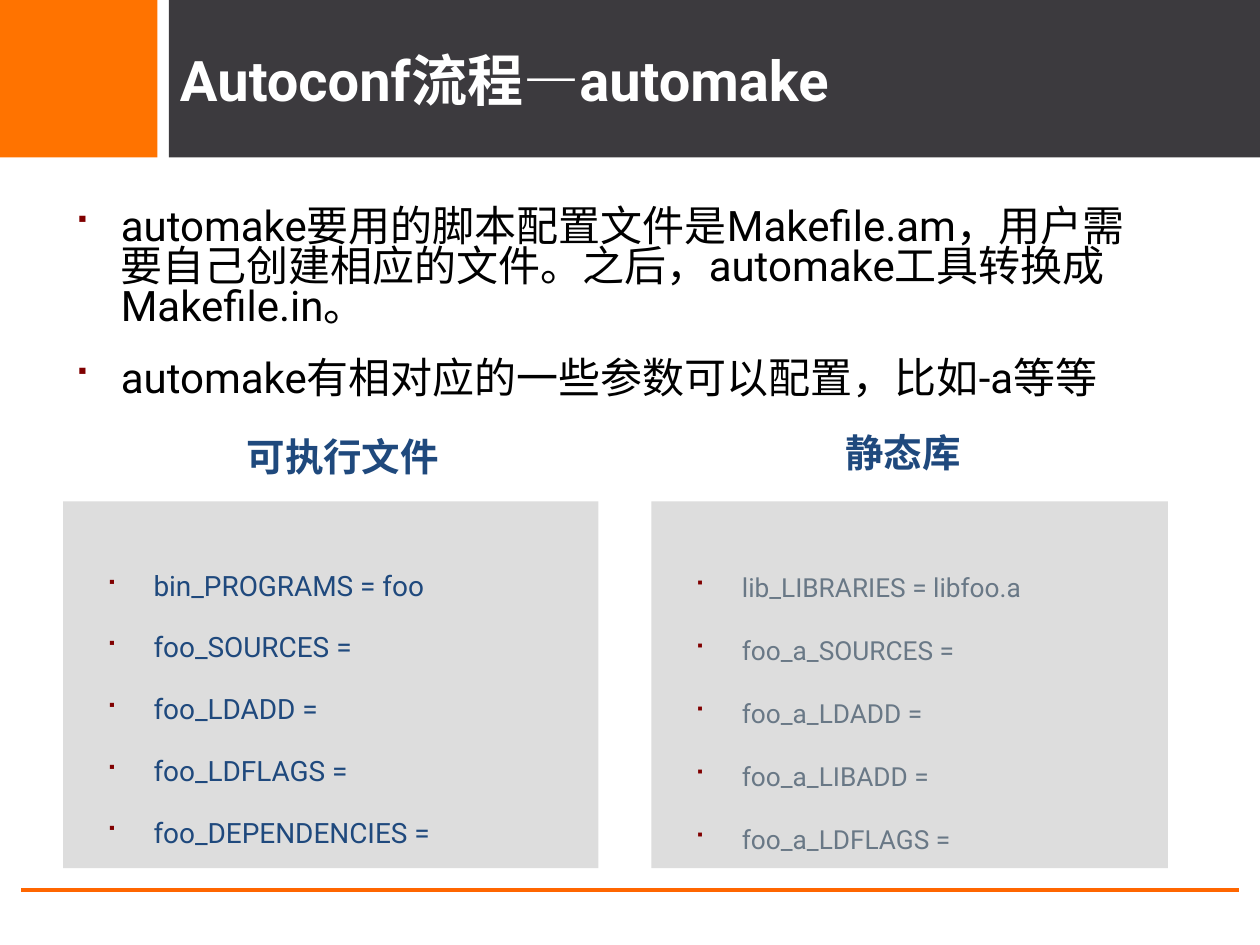
from lxml.etree import SubElement
from pptx import Presentation
from pptx.dml.color import RGBColor
from pptx.enum.shapes import MSO_CONNECTOR, MSO_SHAPE
from pptx.enum.text import MSO_ANCHOR, MSO_AUTO_SIZE, PP_ALIGN
from pptx.oxml.ns import qn
from pptx.util import Inches, Pt

COLUMNS, ROWS = 100, 75
WIDTH, HEIGHT = Inches(10), Inches(7.5)
FONT = "Roboto"
BULLET_FONT = "Wingdings"
ORANGE = RGBColor(0xFF, 0x73, 0x00)
RULE_ORANGE = RGBColor(0xFF, 0x66, 0x00)
CHARCOAL = RGBColor(0x3C, 0x3A, 0x3E)
PALE_GRAY = RGBColor(0xDD, 0xDD, 0xDD)
SLATE = RGBColor(0x69, 0x78, 0x86)
NAVY = RGBColor(0x1F, 0x49, 0x7D)
MAROON = RGBColor(0x80, 0x00, 0x00)
WHITE = RGBColor(0xFF, 0xFF, 0xFF)
BLACK = RGBColor(0x00, 0x00, 0x00)

TITLE = "Autoconf流程—automake"
INTRODUCTION = [
    "automake要用的脚本配置文件是Makefile.am，用户需要自己创建相应的文件。"
    "之后，automake工具转换成Makefile.in。",
    "automake有相对应的一些参数可以配置，比如-a等等",
]
PROGRAM_LINES = [
    "bin_PROGRAMS = foo",
    "foo_SOURCES =",
    "foo_LDADD =",
    "foo_LDFLAGS =",
    "foo_DEPENDENCIES =",
]
LIBRARY_LINES = [
    "lib_LIBRARIES = libfoo.a",
    "foo_a_SOURCES =",
    "foo_a_LDADD =",
    "foo_a_LIBADD =",
    "foo_a_LDFLAGS =",
]


def across(columns):
    return round(WIDTH * columns / COLUMNS)


def down(rows):
    return round(HEIGHT * rows / ROWS)


def place(left, top, width, height):
    return across(left), down(top), across(width), down(height)


def apply_format(target, values):
    for name, value in values.items():
        setattr(target, name, value)


def add_block(page, area, color):
    block = page.shapes.add_shape(MSO_SHAPE.RECTANGLE, *place(*area))
    block.shadow.inherit = False
    block.fill.solid()
    block.fill.fore_color.rgb = color
    block.line.fill.background()
    return block


def add_rule(page, left, right, row):
    rule = page.shapes.add_connector(
        MSO_CONNECTOR.STRAIGHT, across(left), down(row), across(right), down(row)
    )
    rule.line.color.rgb = RULE_ORANGE
    rule.line.width = Pt(2.25)
    SubElement(rule._element.spPr, qn("a:effectLst"))


def write_span(para, text, size, color, bold=False):
    span = para.add_run()
    span.text = text
    apply_format(span.font, {"name": FONT, "size": Pt(size), "bold": bold})
    span.font.color.rgb = color


def add_label(page, area, text, size, color, frame_format):
    box = page.shapes.add_textbox(*place(*area))
    apply_format(box.text_frame, frame_format)
    write_span(box.text_frame.paragraphs[0], text, size, color, bold=True)


def add_bullet(para):
    properties = para._p.get_or_add_pPr()
    properties.set("marL", str(Inches(0.62)))
    properties.set("indent", str(Inches(-0.38)))
    color = SubElement(properties, qn("a:buClr"))
    SubElement(color, qn("a:srgbClr"), val=str(MAROON))
    SubElement(properties, qn("a:buFont"), typeface=BULLET_FONT)
    SubElement(properties, qn("a:buChar"), char="■")


def write_bullets(frame, lines, size, color, spacing):
    for index, line in enumerate(lines):
        para = frame.add_paragraph() if index else frame.paragraphs[0]
        apply_format(para, {
            "alignment": PP_ALIGN.LEFT,
            "line_spacing": spacing,
            "space_before": Pt(18),
        })
        add_bullet(para)
        write_span(para, line, size, color)


def add_panel(page, area, lines, size, color, spacing, top_margin):
    panel = add_block(page, area, PALE_GRAY)
    apply_format(panel.text_frame, {
        "word_wrap": True,
        "vertical_anchor": MSO_ANCHOR.TOP,
        "margin_top": down(top_margin),
    })
    write_bullets(panel.text_frame, lines, size, color, spacing)


def add_introduction(page, area):
    box = page.shapes.add_textbox(*place(*area))
    box.text_frame.word_wrap = True
    write_bullets(box.text_frame, INTRODUCTION, 24, BLACK, 0.8)


def main():
    deck = Presentation()
    apply_format(deck, {"slide_width": WIDTH, "slide_height": HEIGHT})
    page = deck.slides.add_slide(deck.slide_layouts[6])

    add_block(page, (0, 0, 12.5, 12.5), ORANGE)
    add_block(page, (13.4, 0, 86.6, 12.5), CHARCOAL)
    add_rule(page, 1.7, 98.3, 70.6)
    add_label(page, (13.3, 0, 86.7, 12.5), TITLE, 32, WHITE,
              {"word_wrap": True, "vertical_anchor": MSO_ANCHOR.MIDDLE})

    add_panel(page, (5, 39.8, 42.5, 29.1), PROGRAM_LINES, 16, NAVY, 0.9, 5.6)
    add_panel(page, (51.7, 39.8, 41, 29.1), LIBRARY_LINES, 15, SLATE, 1.0, 5.5)
    heading_format = {
        "word_wrap": False,
        "auto_size": MSO_AUTO_SIZE.SHAPE_TO_FIT_TEXT,
    }
    add_label(page, (18.6, 33.9, 17.4, 4.7), "可执行文件", 22, NAVY, heading_format)
    add_label(page, (66.1, 33.6, 11.3, 4.7), "静态库", 22, NAVY, heading_format)
    add_introduction(page, (2.4, 16.1, 90.8, 10.6))

    deck.save("out.pptx")


if __name__ == "__main__":
    main()
